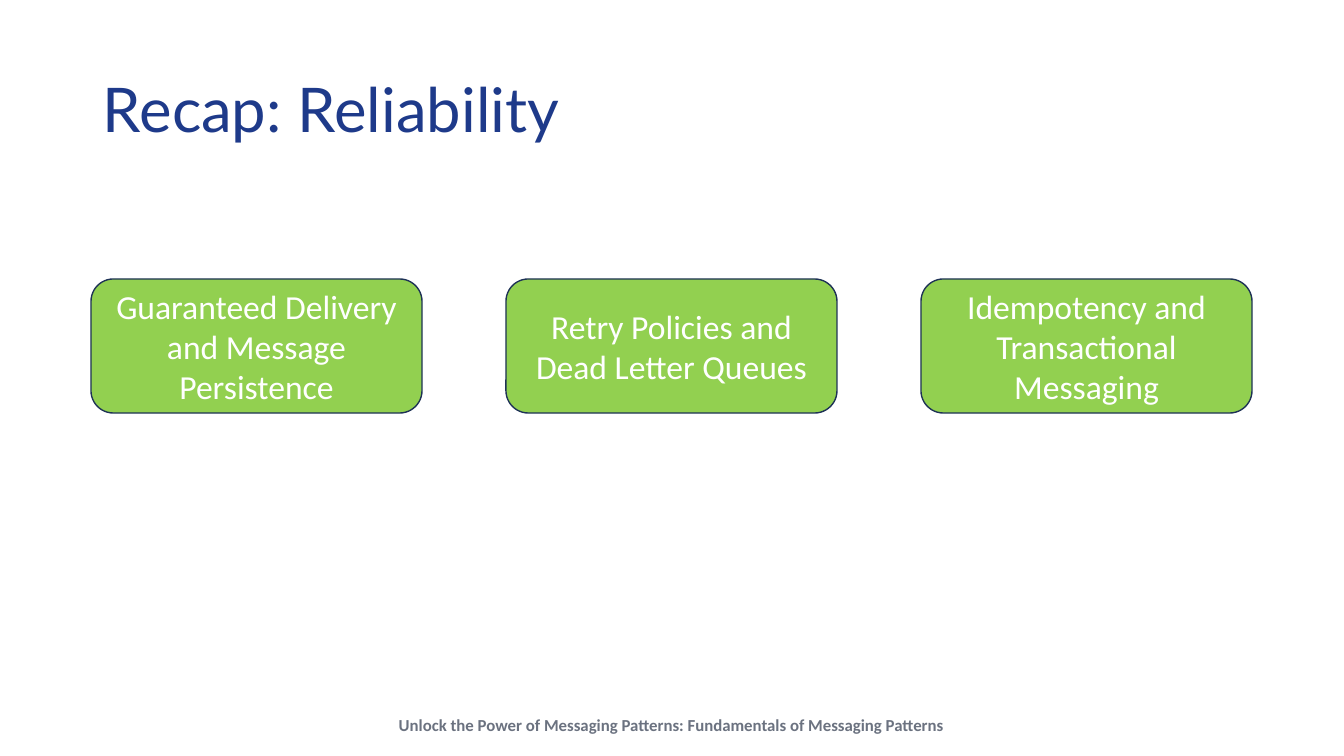
from pptx import Presentation
from pptx import util as u
from pptx.dml.color import RGBColor
from pptx.enum import shapes, text

EMU_PER_PX = 914400 / 100.8
TOPICS = [
    "Guaranteed Delivery and Message Persistence",
    "Retry Policies and Dead Letter Queues",
    "Idempotency and Transactional Messaging",
]
CARD_LEFT, CARD_TOP, CARD_WIDTH, CARD_HEIGHT, CARD_PITCH = 91, 279, 331, 134, 415


def px(*lengths):
    return [u.Emu(round(length * EMU_PER_PX)) for length in lengths]


def color(value):
    return RGBColor.from_string(value)


def write(box, words, size, font, ink, align, bold=False):
    """Put one styled paragraph into a shape or text box."""
    para = box.text_frame.paragraphs[0]
    para.alignment = align
    span = para.add_run()
    span.text = words
    span.font.size = u.Pt(size)
    span.font.name = font
    span.font.bold = bold
    span.font.color.rgb = color(ink)
    return para


def add_title(page, words):
    box = page.shapes.add_textbox(*px(93, 40, 1159, 146))
    box.text_frame.word_wrap = True
    box.text_frame.vertical_anchor = text.MSO_ANCHOR.MIDDLE
    para = write(box, words, 44, "Lato", "1E3A8A", text.PP_ALIGN.LEFT)
    para.line_spacing = 0.9


def add_card(page, left, words):
    card = page.shapes.add_shape(
        shapes.MSO_SHAPE.ROUNDED_RECTANGLE,
        *px(left, CARD_TOP, CARD_WIDTH, CARD_HEIGHT))
    card.shadow.inherit = False
    card.fill.solid()
    card.fill.fore_color.rgb = color("92D050")
    card.line.color.rgb = color("1E3256")
    card.line.width = u.Pt(1)
    card.text_frame.word_wrap = True
    card.text_frame.vertical_anchor = text.MSO_ANCHOR.MIDDLE
    write(card, words, 24, "Calibri", "FFFFFF", text.PP_ALIGN.CENTER)


def add_footer(page, words):
    box = page.shapes.add_textbox(*px(385, 710, 573, 30))
    box.text_frame.word_wrap = False
    box.text_frame.auto_size = text.MSO_AUTO_SIZE.SHAPE_TO_FIT_TEXT
    write(box, words, 12, "Calibri", "6B7280", text.PP_ALIGN.CENTER, bold=True)


def main():
    deck = Presentation()
    deck.slide_width, deck.slide_height = px(1344, 756)
    page = deck.slides.add_slide(deck.slide_layouts[6])
    add_footer(page, "Unlock the Power of Messaging Patterns: "
                     "Fundamentals of Messaging Patterns")
    add_title(page, "Recap: Reliability")
    for index, topic in enumerate(TOPICS):
        add_card(page, CARD_LEFT + index * CARD_PITCH, topic)
    deck.save("out.pptx")


if __name__ == "__main__":
    main()
